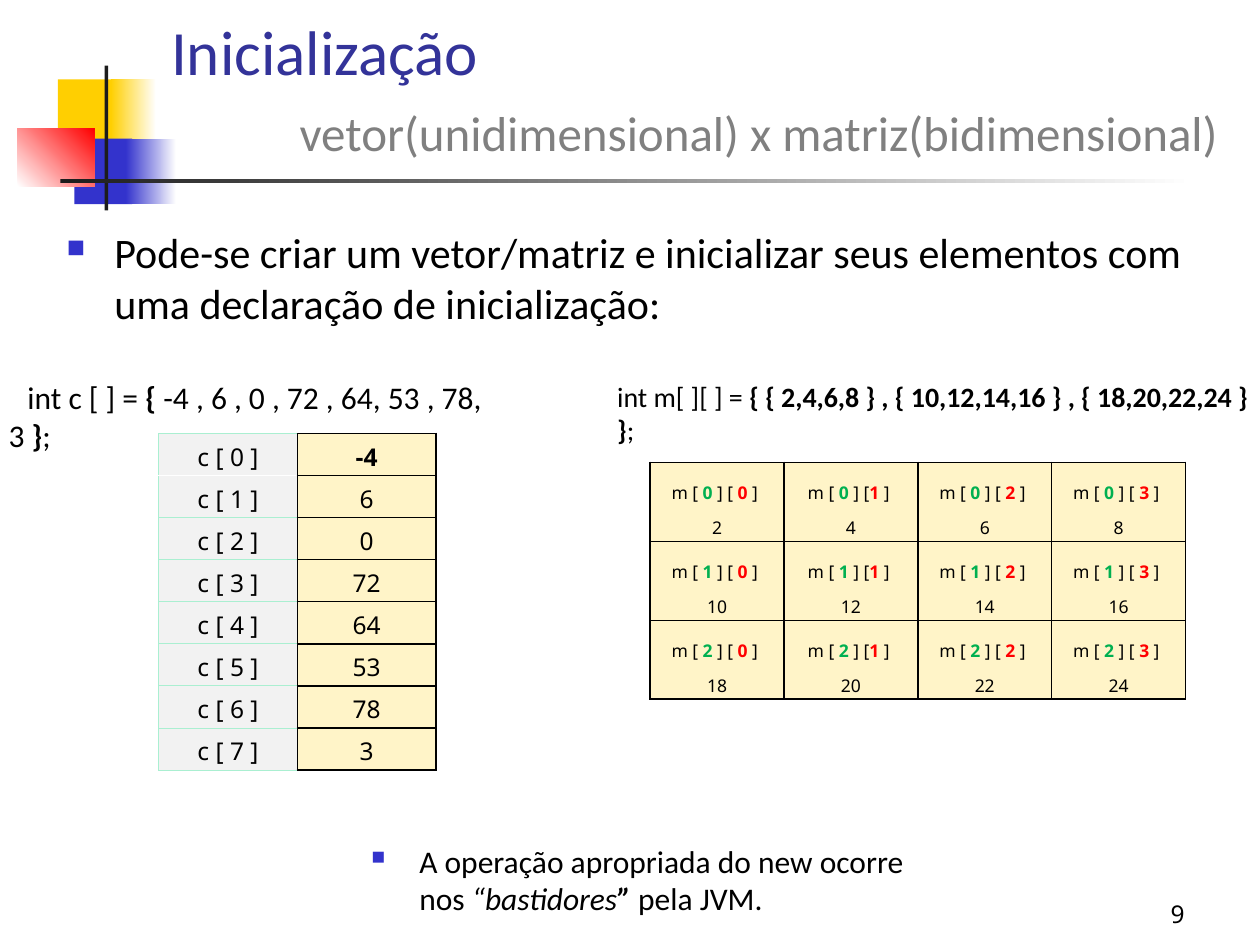
from pptx import Presentation
from pptx import util as u
from pptx.dml.color import RGBColor
from pptx.enum import shapes, text
from pptx.oxml import parse_xml
from pptx.oxml.ns import nsdecls

COLORS = {
    "black": "000000", "white": "FFFFFF", "ink": "1C1C1C", "yellow": "FFCF01",
    "blue": "3333CC", "red": "FF0000", "green": "00B050", "title": "333399",
    "subtitle": "808080", "cream": "FFF4C8", "gray": "F2F2F2", "mint": "AAEFD1",
}
LEFT, CENTER, RIGHT = text.PP_ALIGN.LEFT, text.PP_ALIGN.CENTER, text.PP_ALIGN.RIGHT
BODY, CELL = "Calibri", "Noto Sans"


def rgb(name):
    """Return the named colour."""
    return RGBColor.from_string(COLORS[name])


class SlideBuilder:
    """Draws styled elements on one slide."""

    def __init__(self, page):
        self.page = page

    def block(self, place, color, end=None, angle=0):
        """Add a rectangle, filled plainly or with a gradient to end."""
        box = self.page.shapes.add_shape(
            shapes.MSO_SHAPE.RECTANGLE, *map(u.Inches, place))
        box.shadow.inherit = False
        box.line.fill.background()
        if end is None:
            box.fill.solid()
            box.fill.fore_color.rgb = rgb(color)
            return
        box.fill.gradient()
        box.fill.gradient_angle = angle
        for stop, name in zip(box.fill.gradient_stops, (color, end)):
            stop.color.rgb = rgb(name)

    def add_spans(self, para, spans, size, font=BODY, color="black", align=LEFT):
        """Add runs given as strings or (string, style) pairs."""
        para.alignment = align
        for item in spans:
            words, style = (item, {}) if isinstance(item, str) else item
            span = para.add_run()
            span.text = words
            span.font.name, span.font.size = font, u.Pt(size)
            span.font.bold = style.get("bold", False)
            span.font.italic = style.get("italic", False)
            span.font.color.rgb = rgb(style.get("color", color))

    def text_box(self, place, anchor=text.MSO_ANCHOR.TOP):
        """Add a wrapping text box and return its frame."""
        frame = self.page.shapes.add_textbox(*map(u.Inches, place)).text_frame
        frame.word_wrap = True
        frame.vertical_anchor = anchor
        return frame

    def paragraph(self, place, spans, size, bullet=False, indent=0):
        """Add a text box of one paragraph, with an optional square bullet."""
        para = self.text_box(place).paragraphs[0]
        self.add_spans(para, spans, size)
        para.space_before = u.Pt(size * 0.2)
        props = para._p.get_or_add_pPr()
        if bullet:
            props.set("marL", str(u.Inches(0.38)))
            indent = -0.38
            for body in (f'buClr {nsdecls("a")}><a:srgbClr val="{COLORS["blue"]}"/></a:buClr',
                         f'buSzPct {nsdecls("a")} val="60000"/',
                         f'buChar {nsdecls("a")} char="■"/'):
                props.append(parse_xml(f"<a:{body}>"))
        props.set("indent", str(u.Inches(indent)))

    def table(self, place, rows, columns):
        """Add a table without banding."""
        grid = self.page.shapes.add_table(rows, columns, *map(u.Inches, place)).table
        grid.first_row = grid.horz_banding = False
        return grid

    def cell(self, cell, lines, size, fill="cream", borders=None, spacing=1.0):
        """Fill a cell with centred lines and draw its four borders."""
        cell.fill.solid()
        cell.fill.fore_color.rgb = rgb(fill)
        for index, spans in enumerate(lines):
            frame = cell.text_frame
            para = frame.add_paragraph() if index else frame.paragraphs[0]
            self.add_spans(para, spans, size, CELL, align=CENTER)
            para.line_spacing = spacing
        props = cell._tc.get_or_add_tcPr()
        for index, side in enumerate("LRTB"):
            color, width = (borders or {}).get(side, ("black", 1))
            props.insert(index, parse_xml(
                f'<a:ln{side} {nsdecls("a")} w="{u.Pt(width)}"><a:solidFill>'
                f'<a:srgbClr val="{COLORS[color]}"/></a:solidFill></a:ln{side}>'))


def draw_decoration(slide):
    """Draw the coloured blocks and the two rules behind the title."""
    slide.block((0.46, 0.63, 0.48, 0.52), "yellow")
    slide.block((0.88, 0.63, 0.36, 0.52), "yellow", "white")
    slide.block((0.59, 1.1, 0.46, 0.52), "blue")
    slide.block((1, 1.1, 0.4, 0.52), "blue", "white")
    slide.block((0.14, 1.02, 0.61, 0.46), "white", "red", 45)
    slide.block((0.83, 0.52, 0.03, 1.15), "ink")
    slide.block((0.48, 1.42, 9, 0.03), "ink", "white")


def draw_title(slide):
    """Add the title and the indented subtitle."""
    frame = slide.text_box((1.26, 0.08, 8.52, 1.25), text.MSO_ANCHOR.BOTTOM)
    slide.add_spans(frame.paragraphs[0], ["Inicialização"], 36, color="title")
    subtitle = frame.add_paragraph()
    slide.add_spans(subtitle, ["vetor(unidimensional) x matriz(bidimensional)"], 28,
                    color="subtitle")
    subtitle.space_before = u.Pt(8)
    subtitle._p.get_or_add_pPr().set("marL", str(u.Inches(1.02)))


def draw_vector(slide):
    """Draw the table of the one-dimensional array."""
    values = [-4, 6, 0, 72, 64, 53, 78, 3]
    grid = slide.table((1.26, 3.44, 2.2, 2.67), len(values), 2)
    thin, seam = ("mint", 0.5), ("white", 1)
    for index, value in enumerate(values):
        borders = {"L": thin, "T": seam if index == 1 else thin,
                   "B": seam if index == 0 else thin}
        slide.cell(grid.cell(index, 0), [[f"c [ {index} ]"]], 14, "gray", borders)
        slide.cell(grid.cell(index, 1), [[(str(value), {"bold": index == 0})]], 14)


def draw_matrix(slide):
    """Draw the table of the two-dimensional array."""
    rows, columns = 3, 4
    grid = slide.table((5.16, 3.67, 4.25, 1.88), rows, columns)
    for row in range(rows):
        for column in range(columns):
            name = ["m [ ", (str(row), {"bold": True, "color": "green"}),
                    " ] [" if column == 1 else " ] [ ",
                    (str(column), {"bold": True, "color": "red"}), " ] "]
            value = 2 * (row * columns + column + 1)
            slide.cell(grid.cell(row, column), [name, [str(value)]], 10, spacing=1.5)


def main():
    """Build the slide and save it."""
    deck = Presentation()
    deck.slide_width, deck.slide_height = u.Inches(10), u.Inches(7.5)
    slide = SlideBuilder(deck.slides.add_slide(deck.slide_layouts[6]))
    bold = {"bold": True}

    draw_decoration(slide)
    draw_title(slide)
    slide.paragraph((0.43, 1.75, 9.07, 1.06), [
        "Pode-se criar um vetor/matriz e inicializar seus elementos com "
        "uma declaração de inicialização:"], 24, bullet=True)
    number = slide.text_box((7.42, 6.92, 2.08, 0.5), text.MSO_ANCHOR.BOTTOM)
    slide.add_spans(number.paragraphs[0], ["9"], 14, CELL, align=RIGHT)
    draw_vector(slide)
    slide.paragraph((-0.03, 2.95, 4.33, 0.71), [
        "int c [ ] = ", ("{", bold), " -4 , 6 , 0 , 72 , 64, 53 , 78, 3 ",
        ("}", bold), ";"], 18, indent=0.15)
    slide.paragraph((2.85, 6.63, 4.57, 0.79), [
        "A operação apropriada do new ocorre nos ", ("“bastidores", {"italic": True}),
        ("” ", {"bold": True, "italic": True}), "pela JVM."], 18, bullet=True)
    draw_matrix(slide)
    slide.paragraph((4.8, 2.96, 5.24, 0.42), [
        "int m[ ][ ] = ",
        ("{ { 2,4,6,8 } , { 10,12,14,16 } , { 18,20,22,24 } }", bold), ";"], 16)
    deck.save("out.pptx")


main()
